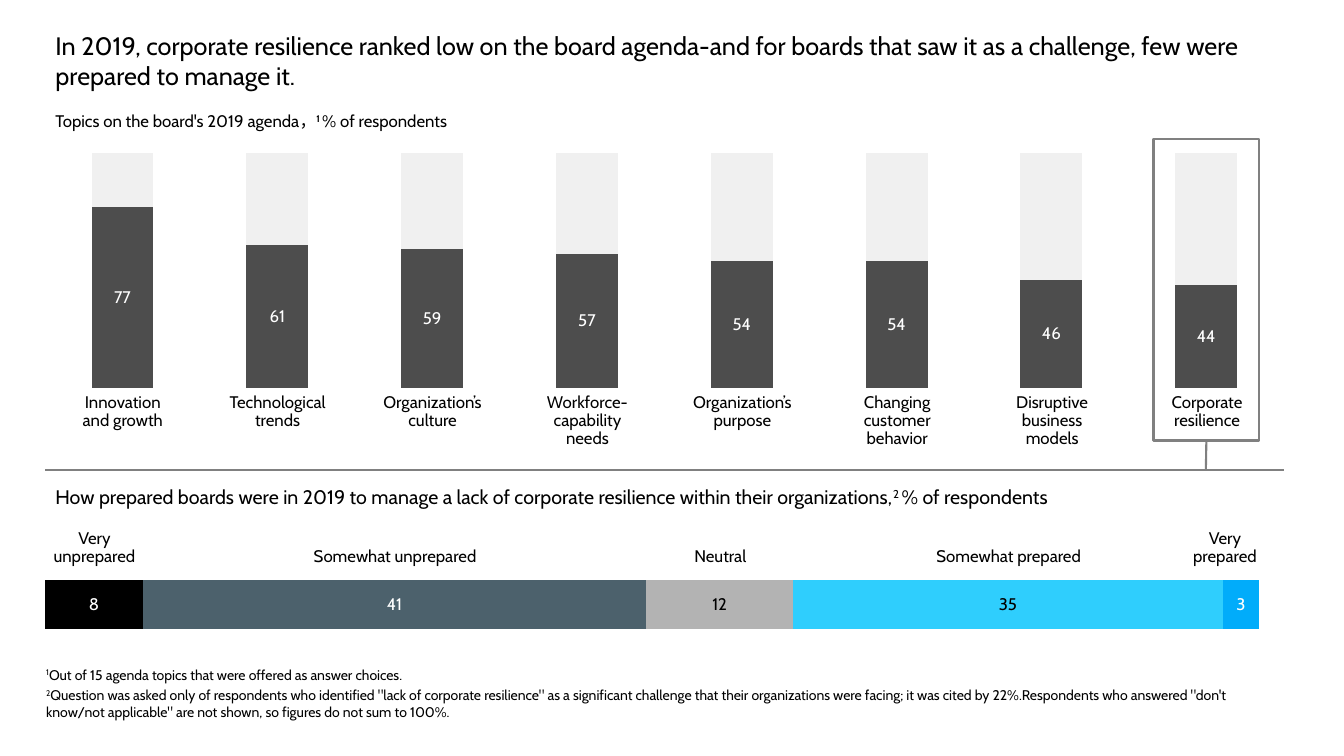
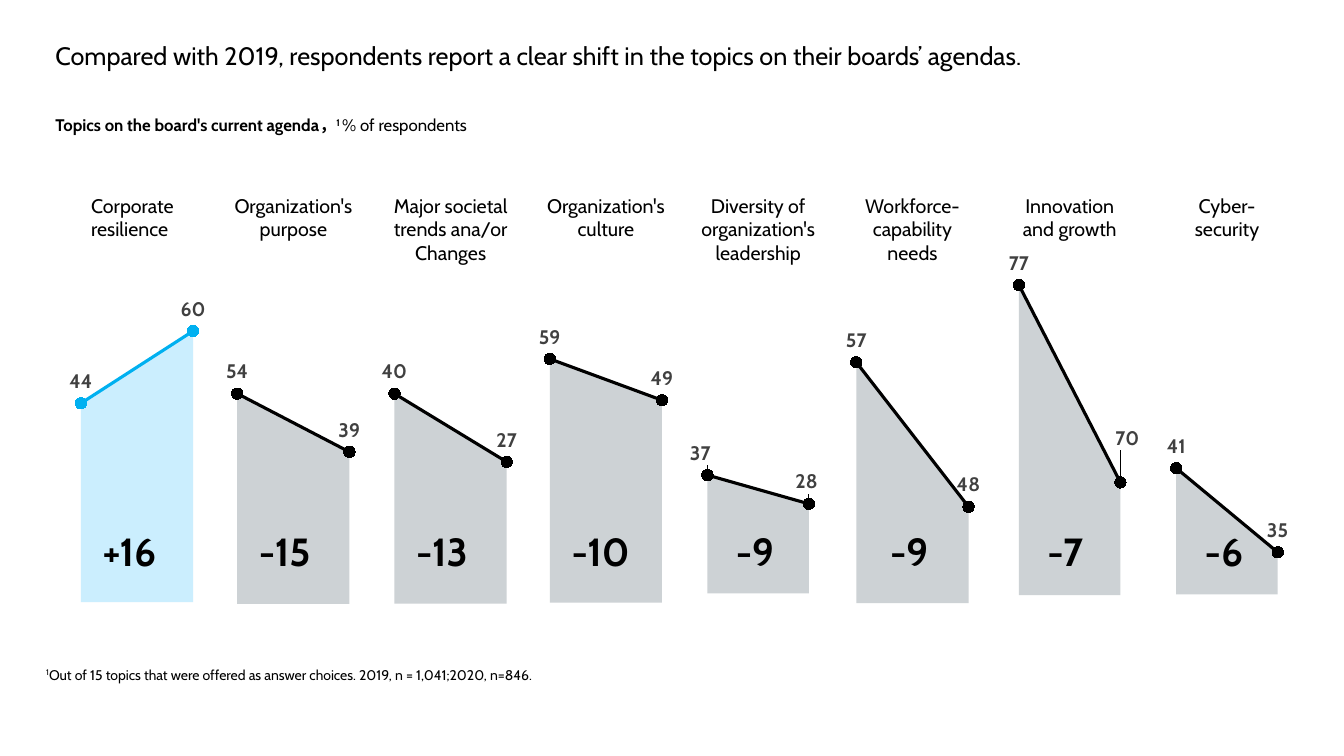
from copy import deepcopy
from dataclasses import dataclass

from pptx import Presentation
from pptx.chart.data import CategoryChartData
from pptx.dml.color import RGBColor
from pptx.enum.chart import XL_CHART_TYPE, XL_LABEL_POSITION, XL_MARKER_STYLE
from pptx.enum.shapes import MSO_CONNECTOR, MSO_SHAPE
from pptx.enum.text import MSO_ANCHOR, MSO_AUTO_SIZE, PP_ALIGN
from pptx.oxml import parse_xml
from pptx.oxml.ns import nsdecls, qn
from pptx.util import Inches, Pt


@dataclass(frozen=True)
class Theme:
    font: str = "Cabin"
    ink: str = "000000"
    white: str = "FFFFFF"
    rule: str = "808080"
    bar: str = "4D4D4D"
    rest: str = "F0F0F0"
    slate: str = "4C616C"
    silver: str = "B3B3B3"
    sky: str = "2FCEFD"
    azure: str = "01ACFA"
    label: str = "404040"
    area: str = "CDD2D5"
    area_accent: str = "CBEEFE"
    accent: str = "00B0F0"
    title: int = 18
    heading: int = 14
    body: int = 12
    note: int = 10
    figure: int = 28


THEME = Theme()
NOTE_MARK = {"size": THEME.note, "raised": True}


def style_font(font, size=THEME.body, color=THEME.ink, bold=False):
    font.name = THEME.font
    font.size = Pt(size)
    font.bold = bold
    font.color.rgb = RGBColor.from_string(color)


def write(frame, content, align=PP_ALIGN.LEFT, spacing=None, soft=False, **look):
    spans = [(content, {})] if isinstance(content, str) else content
    para = frame.paragraphs[0]
    paras = [para]
    for text, changes in spans:
        options = {**look, **changes}
        raised = options.pop("raised", False)
        for index, line in enumerate(text.split("\n")):
            if index and soft:
                para.add_line_break()
            elif index:
                para = frame.add_paragraph()
                paras.append(para)
            span = para.add_run()
            span.text = line
            style_font(span.font, **options)
            if raised:
                span.font._element.set("baseline", "30000")
    for para in paras:
        para.alignment = align
        if spacing:
            para.line_spacing = spacing


def add_plot_layout(chart, plot):
    area = chart._chartSpace.find(qn("c:chart")).find(qn("c:plotArea"))
    for layout in area.findall(qn("c:layout")):
        area.remove(layout)
    sizes = "".join(f'<c:{key} val="{value}"/>' for key, value in zip("xywh", plot))
    area.insert(0, parse_xml(
        f'<c:layout {nsdecls("c")}><c:manualLayout><c:layoutTarget val="inner"/>'
        f'<c:xMode val="edge"/><c:yMode val="edge"/>{sizes}</c:manualLayout></c:layout>'))


def split_area_from_line(chart):
    line = chart.plots[0]._element
    area = parse_xml(f'<c:areaChart {nsdecls("c")}><c:grouping val="standard"/>'
                     '<c:varyColors val="0"/></c:areaChart>')
    series = line.find(qn("c:ser"))
    for tag in ("c:marker", "c:smooth"):
        for child in series.findall(qn(tag)):
            series.remove(child)
    area.append(series)
    for axis_id in line.findall(qn("c:axId")):
        area.append(deepcopy(axis_id))
    line.addprevious(area)
    axis = chart.value_axis._element
    for child in axis.findall(qn("c:crossBetween")):
        axis.remove(child)
    axis.find(qn("c:crosses")).addnext(
        parse_xml(f'<c:crossBetween {nsdecls("c")} val="between"/>'))


def move_label(label, right, down):
    style_font(label.font, THEME.heading, THEME.label, True)
    label.position = XL_LABEL_POSITION.ABOVE
    element = label._dLbl
    element.find(qn("c:idx")).addnext(parse_xml(
        f'<c:layout {nsdecls("c")}><c:manualLayout><c:x val="{right}"/>'
        f'<c:y val="{down}"/></c:manualLayout></c:layout>'))


class Deck:
    def __init__(self):
        self.theme = THEME
        self.deck = Presentation()
        self.deck.slide_width = Inches(13.33)
        self.deck.slide_height = Inches(7.5)
        self.page = None

    def start(self, title, top, height):
        self.page = self.deck.slides.add_slide(self.deck.slide_layouts[5])
        box = self.page.shapes.title
        box.left, box.top, box.width, box.height = map(Inches, (0.45, top, 12.4, height))
        frame = box.text_frame
        frame.word_wrap = True
        frame.auto_size = MSO_AUTO_SIZE.NONE
        frame.vertical_anchor = MSO_ANCHOR.TOP
        write(frame, title, size=self.theme.title)

    def text(self, content, left, top, width, height, wrap=False, inset=True,
             anchor=MSO_ANCHOR.TOP, **look):
        box = self.page.shapes.add_textbox(*map(Inches, (left, top, width, height)))
        frame = box.text_frame
        frame.word_wrap = wrap
        frame.vertical_anchor = anchor
        if not inset:
            frame.margin_left = frame.margin_right = 0
            frame.margin_top = frame.margin_bottom = 0
        write(frame, content, **look)

    def label(self, content, left, top, width, height, **look):
        self.text(content, left, top, width, height, inset=False, soft=True,
                  align=PP_ALIGN.CENTER, spacing=0.9, **look)

    def note(self, mark, content, top, width, height, wrap=False):
        self.text([(mark, NOTE_MARK), (content, {"size": self.theme.note})],
                  0.36, top, width, height, wrap=wrap)

    def outline(self, left, top, width, height):
        box = self.page.shapes.add_shape(
            MSO_SHAPE.RECTANGLE, *map(Inches, (left, top, width, height)))
        box.shadow.inherit = False
        box.fill.background()
        box.line.color.rgb = RGBColor.from_string(self.theme.rule)
        box.line.width = Pt(1.5)
        return box

    def line(self, left, top, right, bottom, start=None):
        line = self.page.shapes.add_connector(
            MSO_CONNECTOR.STRAIGHT, *map(Inches, (left, top, right, bottom)))
        line.line.color.rgb = RGBColor.from_string(self.theme.rule)
        line.line.width = Pt(1.5)
        line._element.spPr.append(parse_xml(f'<a:effectLst {nsdecls("a")}/>'))
        if start is not None:
            line.begin_connect(start, 2)

    def chart(self, kind, place, categories, rows, low, high, plot):
        data = CategoryChartData()
        data.categories = categories
        for number, values in enumerate(rows, 1):
            data.add_series(f"Series {number}", values)
        chart = self.page.shapes.add_chart(kind, *map(Inches, place), data).chart
        chart._chartSpace.find(qn("c:chart")).addnext(parse_xml(
            f'<c:spPr {nsdecls("c", "a")}><a:noFill/><a:ln><a:noFill/></a:ln></c:spPr>'))
        style_font(chart.font)
        chart.has_title = False
        chart.has_legend = False
        chart.value_axis.has_major_gridlines = False
        chart.value_axis.minimum_scale = low
        chart.value_axis.maximum_scale = high
        chart.value_axis.visible = False
        chart.category_axis.visible = False
        chart.plots[0].vary_by_categories = False
        add_plot_layout(chart, plot)
        return chart

    def stacked(self, kind, place, categories, rows, high, plot, gap, paints):
        chart = self.chart(kind, place, categories, rows, 0, high, plot)
        chart.plots[0].gap_width = gap
        chart.plots[0].overlap = 100
        for series, (fill, label_color) in zip(chart.plots[0].series, paints):
            series.format.fill.solid()
            series.format.fill.fore_color.rgb = RGBColor.from_string(fill)
            if label_color:
                labels = series.data_labels
                labels.show_value = True
                labels.position = XL_LABEL_POSITION.CENTER
                style_font(labels.font, color=label_color)

    def slope(self, place, values, low, high, plot, fill, stroke, shifts):
        chart = self.chart(XL_CHART_TYPE.LINE_MARKERS, place, ["1", "2"],
                           [values, values], low, high, plot)
        split_area_from_line(chart)
        area, line = (part.series[0] for part in chart.plots)
        area.format.fill.solid()
        area.format.fill.fore_color.rgb = RGBColor.from_string(fill)
        color = RGBColor.from_string(stroke)
        line.smooth = False
        line.format.line.color.rgb = color
        line.format.line.width = Pt(2.25)
        line.marker.style = XL_MARKER_STYLE.CIRCLE
        line.marker.size = 8
        line.marker.format.fill.solid()
        line.marker.format.fill.fore_color.rgb = color
        line.marker.format.line.color.rgb = color
        labels = line.data_labels
        labels.show_value = True
        labels.position = XL_LABEL_POSITION.ABOVE
        style_font(labels.font, self.theme.heading, self.theme.label, True)
        for index, (right, down) in shifts.items():
            move_label(line.points[index].data_label, right, down)


def build_agenda(deck):
    theme = deck.theme
    deck.start("In 2019, corporate resilience ranked low on the board agenda-and for boards "
               "that saw it as a challenge, few were prepared to manage it.", 0.25, 0.71)
    deck.text([("Topics on the board's 2019 agenda，", {}),
               ("1 ", {"bold": True, "raised": True}), ("% of respondents", {})],
              0.45, 1.05, 4.5, 0.3)
    deck.note("1", "Out of 15 agenda topics that were offered as answer choices.", 6.56, 4.14, 0.27)
    deck.note("2", "Question was asked only of respondents who identified \"lack of corporate "
              "resilience\" as a significant challenge that their organizations were facing; it was "
              "cited by 22%.Respondents who answered \"don't know/not applicable\" are not shown, "
              "so figures do not sum to 100%.", 6.76, 12.29, 0.44, wrap=True)

    topics = [("Innovation\nand growth", 77, 30, 0.9), ("Technological\ntrends", 61, 51, 1.07),
              ("Organization’s\nculture", 59, 53, 1.12),
              ("Workforce-\ncapability\nneeds", 57, 56, 0.9),
              ("Organization’s\npurpose", 54, 60, 1.12),
              ("Changing\ncustomer\nbehavior", 54, 60, 0.74),
              ("Disruptive\nbusiness\nmodels", 46, 70, 0.79),
              ("Corporate\nresilience", 44, 73, 0.79)]
    names, shares, rests, widths = zip(*topics)
    deck.stacked(XL_CHART_TYPE.COLUMN_STACKED, (0.36, 1.23, 12.46, 2.91),
                 [str(number) for number in range(1, 9)], [shares, rests], 100,
                 (0.007, 0.1, 0.986, 0.8), 150, [(theme.bar, theme.white), (theme.rest, None)])
    pitch = 12.29 / len(topics)
    for index, (name, width) in enumerate(zip(names, widths)):
        center = 0.45 + (index + 0.5) * pitch
        deck.label(name, center - width / 2, 3.91, width, 0.18 * (name.count("\n") + 1))

    deck.line(0.45, 4.66, 12.73, 4.66)
    frame = deck.outline(11.44, 1.38, 1.05, 2.99)
    deck.line(11.96, 4.37, 11.96, 4.66, start=frame)

    deck.text([("How prepared boards were in 2019 to manage a lack of corporate resilience "
                "within their organizations,", {}), ("2 ", {"raised": True}),
               ("% of respondents", {})], 0.45, 4.76, 11.91, 0.34, wrap=True, size=theme.heading)
    answers = [("Very\nunprepared", 8, 0.9, theme.ink, theme.white),
               ("Somewhat unprepared", 41, 1.75, theme.slate, theme.white),
               ("Neutral", 12, 0.57, theme.silver, theme.ink),
               ("Somewhat prepared", 35, 1.55, theme.sky, theme.ink),
               ("Very\nprepared", 3, 0.7, theme.azure, theme.white)]
    total = sum(answer[1] for answer in answers)
    deck.stacked(XL_CHART_TYPE.BAR_STACKED, (0.36, 5.27, 12.23, 1.46), ["1"],
                 [[answer[1]] for answer in answers], total, (0.007, 0.2, 0.985, 0.6), 80,
                 [answer[3:] for answer in answers])
    start = 0.45
    for name, share, width, *_ in answers:
        length = 12.05 * share / total
        height = 0.18 * (name.count("\n") + 1)
        left = min(start + (length - width) / 2, 12.5 - width)
        deck.label(name, left, 5.62 - height, width, height, anchor=MSO_ANCHOR.BOTTOM)
        start += length


def build_shift(deck):
    theme = deck.theme
    deck.start("Compared with 2019, respondents report a clear shift in the topics on "
               "their boards’ agendas.", 0.35, 0.4)
    deck.text([("Topics on the board's current agenda，", {"bold": True}),
               ("1 ", {"bold": True, "raised": True}), ("% of respondents", {})],
              0.45, 1.09, 4.8, 0.3)
    deck.note("1", "Out of 15 topics that were offered as answer choices. "
              "2019, n = 1,041;2020, n=846.", 6.56, 5.46, 0.27)

    topics = [
        ("Corporate\nresilience", (44, 60), 0.2, 2.77, 3.27, 0, 70, (0.02, 0.02, 0.96, 0.96), {}),
        ("Organization's\npurpose", (54, 39), 1.75, 3.57, 2.47, 0, 60, (0.02, 0.04, 0.96, 0.94), {}),
        ("Major societal\ntrends ana/or\nChanges", (40, 27), 3.31, 3.57, 2.47, 0, 45,
         (0.02, 0.03, 0.96, 0.95), {}),
        ("Organization's\nculture", (59, 49), 4.85, 3.05, 2.99, 0, 70, (0.02, 0.02, 0.96, 0.96), {}),
        ("Diversity of\norganization's\nleadership", (37, 28), 6.36, 3.98, 2.06, 0, 40,
         (0.066, 0.31, 0.868, 0.616), {0: (-0.03, 0), 1: (-0.01, 0)}),
        ("Workforce-\ncapability\nneeds", (57, 48), 7.89, 3.26, 2.78, 42, 58,
         (0.02, 0.06, 0.96, 0.92), {}),
        ("Innovation\nand growth", (77, 70), 9.45, 2.37, 3.73, 66, 78,
         (0.066, 0.048, 0.868, 0.9), {1: (0.03, -0.06)}),
        ("Cyber-\nsecurity", (41, 35), 11.01, 4.31, 1.74, 32, 42.4,
         (0.066, 0.08, 0.868, 0.832), {})]
    chart_width = 2.32
    for name, values, left, top, height, low, high, plot, shifts in topics:
        rising = values[1] > values[0]
        fill, stroke = (theme.area_accent, theme.accent) if rising else (theme.area, theme.ink)
        deck.slope((left, top, chart_width, height), values, low, high, plot, fill, stroke, shifts)
    for name, values, left, *_ in topics:
        center = left + chart_width / 2
        rising = values[1] > values[0]
        width = 1.11 if rising else 1.49
        deck.text(name, center - width / 2, 1.87, width, 0.1 + 0.24 * (name.count("\n") + 1),
                  align=PP_ALIGN.LEFT if rising else PP_ALIGN.CENTER, size=theme.heading)
        change = f"{values[1] - values[0]:+d}"
        width = 0.88 if len(change) == 3 else 0.64
        deck.text(change, center - width / 2, 5.18, width, 0.57, size=theme.figure, bold=True)


def main():
    deck = Deck()
    build_agenda(deck)
    build_shift(deck)
    deck.deck.save("out.pptx")


if __name__ == "__main__":
    main()
